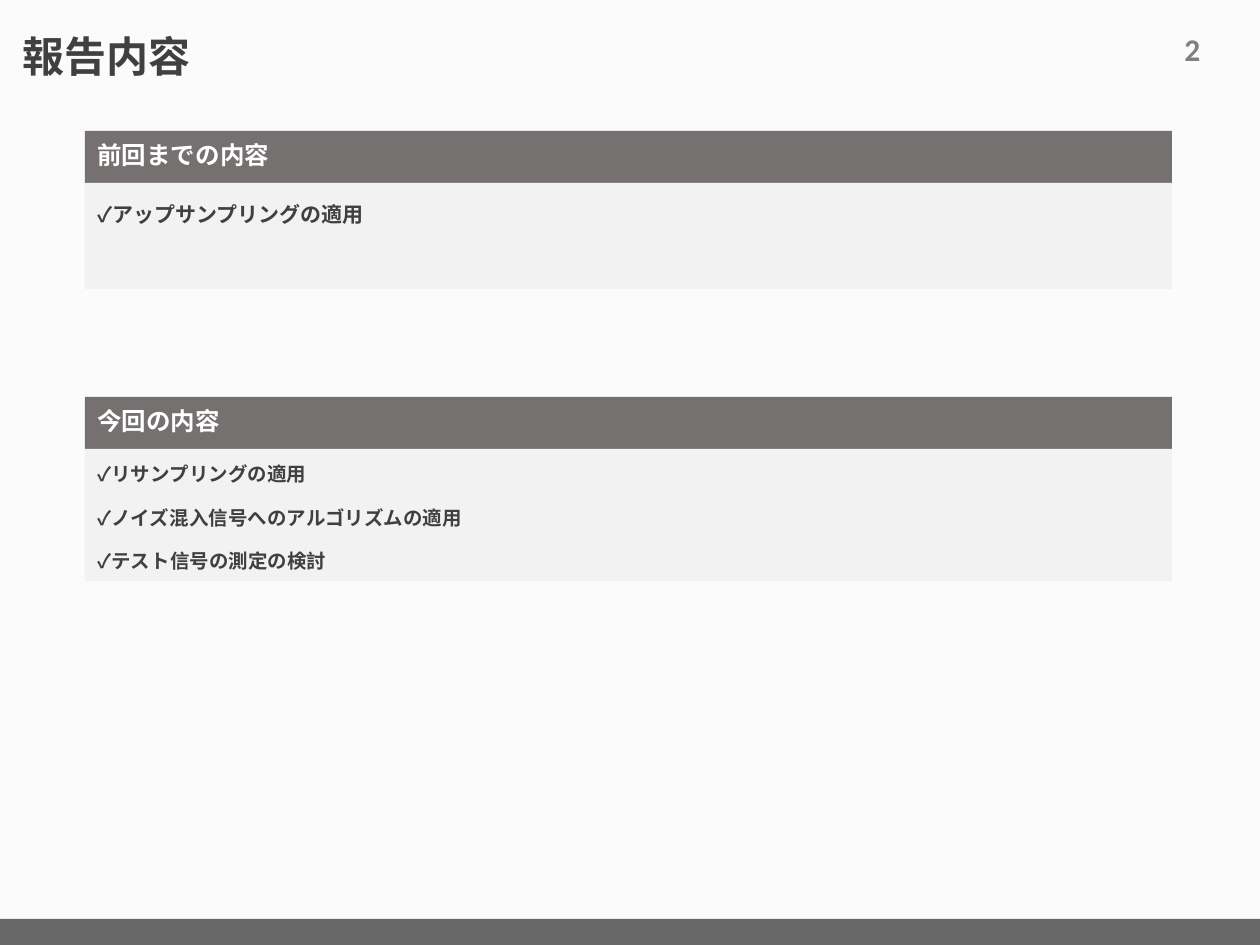
from lxml import etree
from pptx import Presentation, util as u
from pptx.dml.color import RGBColor
from pptx.enum import shapes, text
from pptx.oxml.ns import qn

SCALE = u.Inches(1) / 126
DARK, PANEL, HEADING = "404040", "F2F2F2", "767171"
PANEL_LEFT, PANEL_WIDTH, HEADING_HEIGHT = 85, 1087, 52


def px(length):
    return u.Emu(round(length * SCALE))


def paint(fill, color):
    fill.solid()
    fill.fore_color.rgb = RGBColor.from_string(color)


def set_opacity(shape, percent):
    color = shape.fill._xPr.find(qn("a:solidFill"))[0]
    etree.SubElement(color, qn("a:alpha"), val=str(percent * 1000))


def write(shape, lines, size, color, font="Calibri", anchor="TOP", **spacing):
    frame = shape.text_frame
    frame.word_wrap = True
    frame.vertical_anchor = text.MSO_ANCHOR[anchor]
    frame.text = "\n".join(lines)
    for paragraph in frame.paragraphs:
        layout = {"alignment": text.PP_ALIGN.LEFT, **spacing}
        for name, value in layout.items():
            setattr(paragraph, name, value)
        letters = {"size": u.Pt(size), "bold": True, "name": font}
        for name, value in letters.items():
            setattr(paragraph.runs[0].font, name, value)
        paragraph.runs[0].font.color.rgb = RGBColor.from_string(color)


def add_box(slide, bounds, color):
    box = slide.shapes.add_shape(shapes.MSO_SHAPE.RECTANGLE, *map(px, bounds))
    box.shadow.inherit = False
    box.line.fill.background()
    paint(box.fill, color)
    return box


def add_label(slide, bounds, *content, **layout):
    label = slide.shapes.add_textbox(*map(px, bounds))
    write(label, *content, **layout)


def add_section(slide, top, height, heading, items, size, line_spacing):
    header = add_box(slide, (PANEL_LEFT, top, PANEL_WIDTH, HEADING_HEIGHT), HEADING)
    write(header, [heading], 14, "FFFFFF", anchor="MIDDLE", line_spacing=0.9)
    panel = add_box(
        slide, (PANEL_LEFT, top + HEADING_HEIGHT, PANEL_WIDTH, height), PANEL)
    write(panel, items, size, DARK,
          line_spacing=line_spacing, space_before=u.Pt(7.5))


def main():
    deck = Presentation()
    deck.slide_width, deck.slide_height = px(1260), px(945)
    slide = deck.slides.add_slide(deck.slide_layouts[6])
    paint(slide.background.fill, "FBFBFB")

    footer = add_box(slide, (0, 919, 1260, 26), "595959")
    set_opacity(footer, 90)
    add_label(slide, (10, 10, 674, 78), ["報告内容"], 24, DARK,
              font="Arial", anchor="BOTTOM", line_spacing=0.9)
    add_label(slide, (1172, 24, 67, 50), ["2"], 18, "808080")

    add_section(slide, 131, 106, "前回までの内容",
                ["✓アップサンプリングの適用"], 12, 1.5)
    add_section(slide, 397, 132, "今回の内容",
                ["✓リサンプリングの適用",
                 "✓ノイズ混入信号へのアルゴリズムの適用",
                 "✓テスト信号の測定の検討"], 11.1, 1.3)
    deck.save("out.pptx")


if __name__ == "__main__":
    main()
